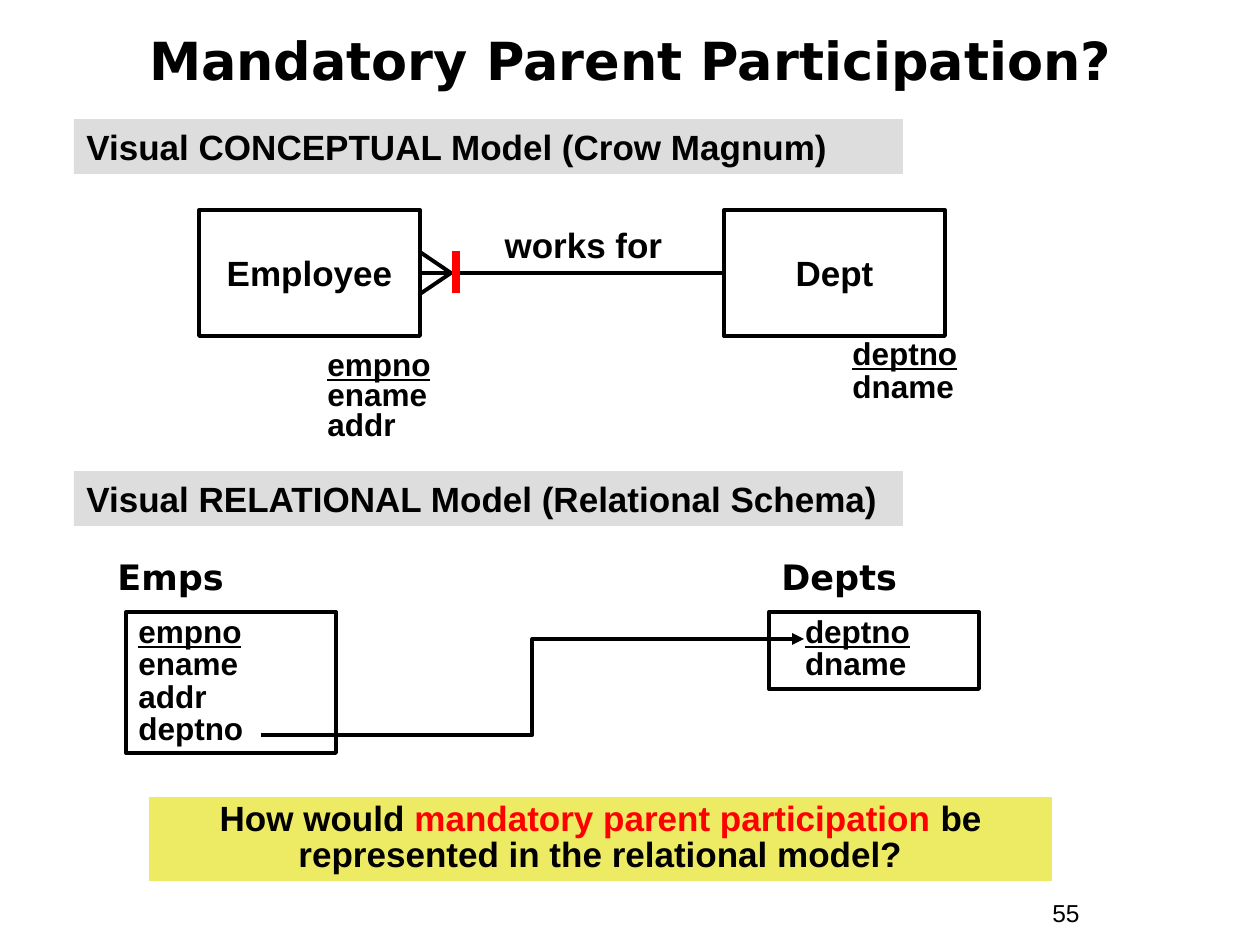
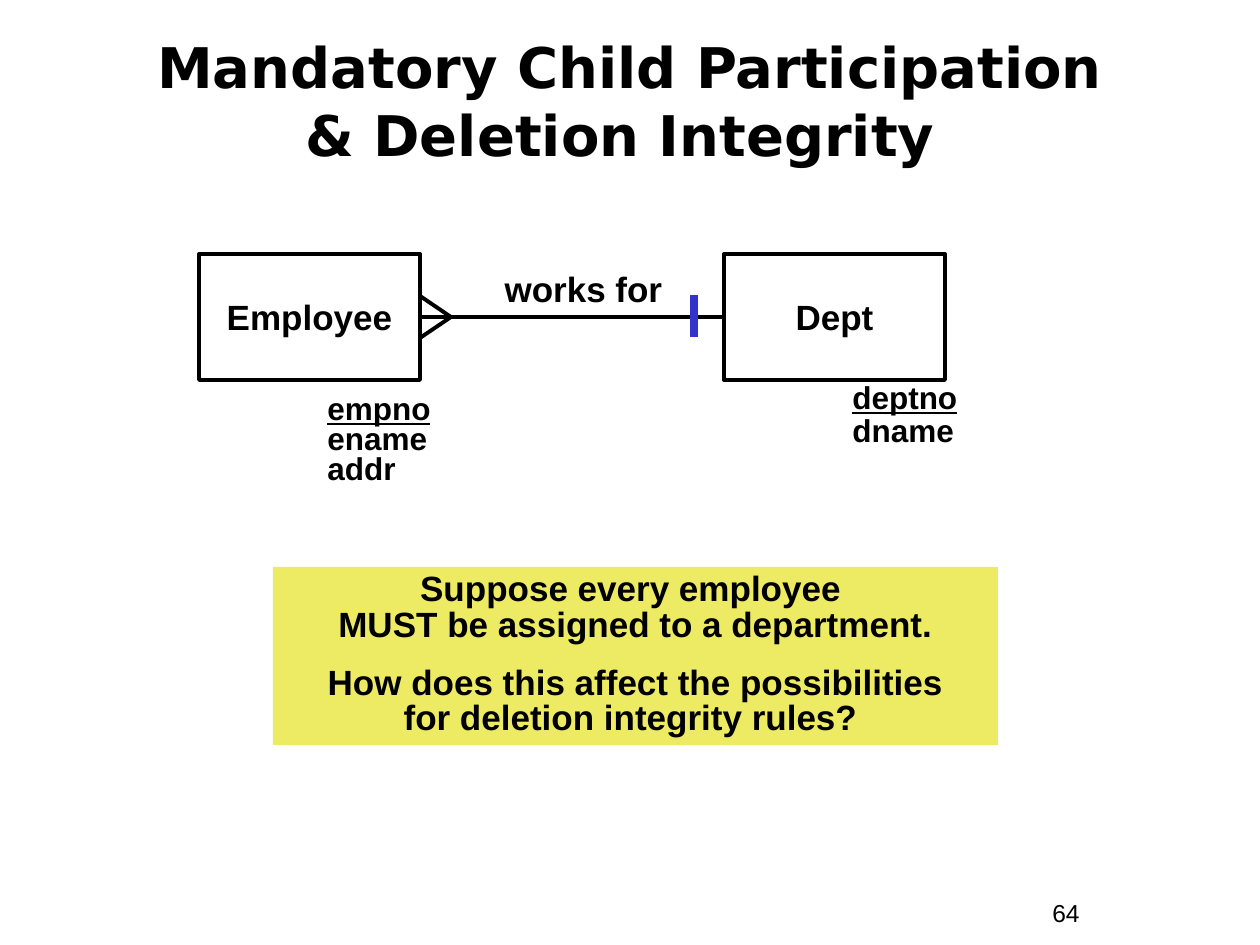
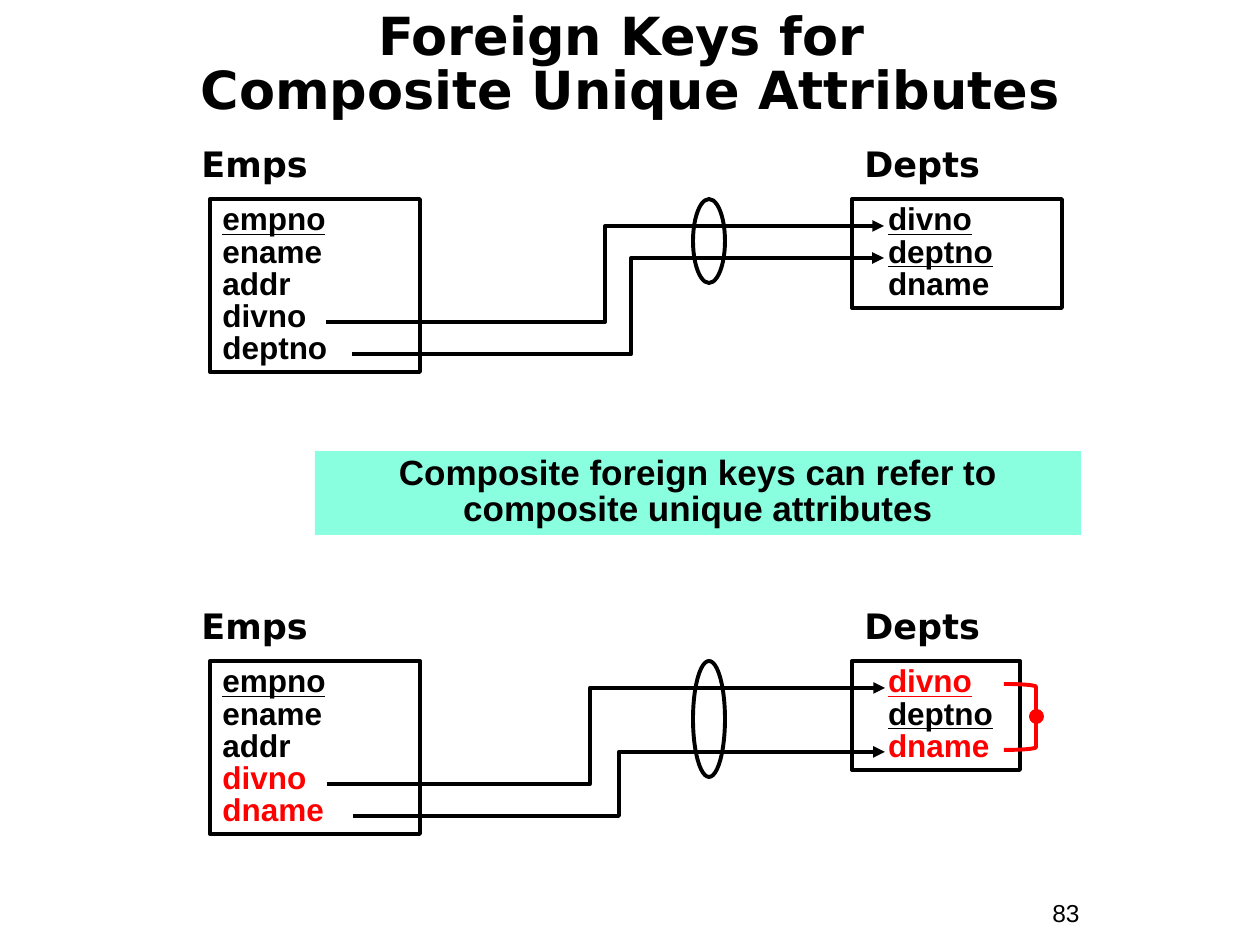
from copy import deepcopy
from dataclasses import dataclass

from pptx import Presentation
from pptx.dml.color import RGBColor
from pptx.enum.shapes import MSO_CONNECTOR, MSO_SHAPE
from pptx.enum.text import MSO_ANCHOR, MSO_AUTO_SIZE, PP_ALIGN
from pptx.oxml.ns import qn
from pptx.oxml.xmlchemy import OxmlElement
from pptx.util import Pt

EMU_PER_PX = 914400 / 126
SLIDE_W, SLIDE_H = 1260, 945
TITLE_ONLY = 5

BLACK = RGBColor(0x00, 0x00, 0x00)
RED = RGBColor(0xFF, 0x00, 0x00)
BLUE = RGBColor(0x33, 0x33, 0xCC)
GREY = RGBColor(0xDD, 0xDD, 0xDD)
YELLOW = RGBColor(0xED, 0xEA, 0x63)
MINT = RGBColor(0x89, 0xFF, 0xE0)

BODY_FONT, HEAD_FONT = "Arial", "DejaVu Sans"
TEXT_SIZE, ROW_SIZE, NUMBER_SIZE = 20, 18, 14
LINE_W, TICK_W = 2.25, 4.5
TIGHT = 0.85

RECT, OVAL, BRACKET = MSO_SHAPE.RECTANGLE, MSO_SHAPE.OVAL, MSO_SHAPE.RIGHT_BRACKET
STRAIGHT, ELBOW = MSO_CONNECTOR.STRAIGHT, MSO_CONNECTOR.ELBOW
LEFT, CENTER = PP_ALIGN.LEFT, PP_ALIGN.CENTER
TOP, MIDDLE = MSO_ANCHOR.TOP, MSO_ANCHOR.MIDDLE
LEFT_SIDE, RIGHT_SIDE = 1, 3

ENTITY_W, ENTITY_H = 221, 126
EMPLOYEE_X, DEPT_X = 199, 724
FOOT_W, FOOT_H = 31, 21
ROW_H, ROW_MIDDLE = 32, 27
LABEL_RISE = 63
ROW_INDENT = 36


@dataclass(frozen=True)
class Box:
    x: int
    y: int
    w: int
    h: int


@dataclass(frozen=True)
class Line:
    """One paragraph; emphasis is the part of its text shown in red."""
    text: str
    underline: bool = False
    color: RGBColor = BLACK
    spacing: float = TIGHT
    before: float = 0
    emphasis: str = ""


@dataclass(frozen=True)
class Table:
    name: str
    x: int
    y: int
    w: int
    rows: tuple[Line, ...]
    label_shift: int = 0
    indented: bool = False

    def row_y(self, row: int) -> int:
        return self.y + ROW_MIDDLE + row * ROW_H


@dataclass(frozen=True)
class ForeignKey:
    """Arrow between two table rows; bend is the share of its width before the turn."""
    from_row: int
    to_row: int
    start_x: int
    end_x: int
    bend: float = 0.5


def px(n: float) -> int:
    return round(n * EMU_PER_PX)


def place(box: Box) -> tuple[int, int, int, int]:
    return px(box.x), px(box.y), px(box.w), px(box.h)


def write(shape, lines, size: float, font: str = BODY_FONT, align=LEFT,
          anchor=TOP, bold: bool = True):
    tf = shape.text_frame
    tf.word_wrap = True
    tf.auto_size = MSO_AUTO_SIZE.NONE
    tf.vertical_anchor = anchor
    for i, line in enumerate(lines):
        p = tf.add_paragraph() if i else tf.paragraphs[0]
        if line.emphasis:
            for part in line.text.partition(line.emphasis):
                p.add_run().text = part
        else:
            p.text = line.text
        p.alignment = align
        p.line_spacing = line.spacing
        p.space_before = Pt(line.before)
        for r in p.runs:
            r.font.name, r.font.size, r.font.bold = font, Pt(size), bold
            r.font.underline = line.underline
            r.font.color.rgb = RED if r.text == line.emphasis else line.color
        for br in p._p.findall(qn("a:br")):
            br.append(deepcopy(p.runs[0]._r.rPr))
    return shape


def add_text(s, box: Box, lines, size: float, **style):
    return write(s.shapes.add_textbox(*place(box)), lines, size, **style)


def add_shape(s, kind, box: Box, fill: RGBColor | None = None,
              line: RGBColor | None = BLACK):
    sp = s.shapes.add_shape(kind, *place(box))
    sp.shadow.inherit = False
    if fill is None:
        sp.fill.background()
    else:
        sp.fill.solid()
        sp.fill.fore_color.rgb = fill
    if line is None:
        sp.line.fill.background()
    else:
        sp.line.color.rgb = line
        sp.line.width = Pt(LINE_W)
    return sp


def add_line(s, x1: int, y1: int, x2: int, y2: int, color: RGBColor = BLACK,
             width: float = LINE_W, kind=STRAIGHT):
    c = s.shapes.add_connector(kind, px(x1), px(y1), px(x2), px(y2))
    c.line.color.rgb = color
    c.line.width = Pt(width)
    c._element.spPr.append(OxmlElement("a:effectLst"))
    return c


def add_slide(prs, title: str, title_box: Box, size: int, number: int,
              spacing: float = 1.0):
    s = prs.slides.add_slide(prs.slide_layouts[TITLE_ONLY])
    head = s.shapes.title
    head.left, head.top, head.width, head.height = place(title_box)
    write(head, [Line(title, spacing=spacing)], size, font=HEAD_FONT,
          align=CENTER, anchor=MIDDLE)
    add_text(s, Box(1040, 892, 116, 43), [Line(str(number), spacing=1.0)],
             NUMBER_SIZE, bold=False)
    return s


def add_band(s, y: int, text: str):
    band = add_shape(s, RECT, Box(74, y, 829, 55), GREY, None)
    write(band, [Line(text, spacing=1.0)], TEXT_SIZE)


def add_note(s, box: Box, lines, fill: RGBColor):
    write(add_shape(s, RECT, box, fill, None), lines, TEXT_SIZE, align=CENTER)


def add_entity(s, name: str, x: int, y: int):
    sp = add_shape(s, RECT, Box(x, y, ENTITY_W, ENTITY_H))
    return write(sp, [Line(name, spacing=1.0)], TEXT_SIZE, align=CENTER, anchor=MIDDLE)


def add_conceptual_model(s, y: int, tick_x: int, tick_color: RGBColor):
    """Employee and Dept joined by a crow's foot line with a participation tick."""
    middle = y + ENTITY_H // 2
    foot_x = EMPLOYEE_X + ENTITY_W
    dept = add_entity(s, "Dept", DEPT_X, y)
    employee = add_entity(s, "Employee", EMPLOYEE_X, y)
    link = add_line(s, DEPT_X, middle, foot_x, middle)
    link.begin_connect(dept, LEFT_SIDE)
    link.end_connect(employee, RIGHT_SIDE)
    for rise in (-FOOT_H, FOOT_H):
        add_line(s, foot_x + FOOT_W, middle, foot_x, middle + rise)
    add_text(s, Box(484, y + 7, 199, 55), [Line("works for", spacing=1.0)],
             TEXT_SIZE, align=CENTER)
    add_text(s, Box(840, y + 125, 147, 77),
             [Line("deptno", True, spacing=0.8), Line("dname", spacing=0.9)], ROW_SIZE)
    add_text(s, Box(315, y + 136, 147, 103),
             [Line("empno", True, spacing=0.8), Line("ename", spacing=0.8),
              Line("addr", spacing=0.8)], ROW_SIZE)
    add_line(s, tick_x, middle - 22, tick_x, middle + 20, tick_color, TICK_W)


def add_table_box(s, t: Table):
    add_text(s, Box(t.x + t.label_shift, t.y - LABEL_RISE, 271, 55),
             [Line(t.name, spacing=1.0)], TEXT_SIZE, font=HEAD_FONT)
    sp = add_shape(s, RECT, Box(t.x, t.y, t.w, 13 + ROW_H * len(t.rows)))
    write(sp, t.rows, ROW_SIZE)
    if t.indented:
        sp.text_frame.margin_left = px(ROW_INDENT)


def add_foreign_key(s, child: Table, parent: Table, key: ForeignKey):
    c = add_line(s, key.start_x, child.row_y(key.from_row),
                 key.end_x, parent.row_y(key.to_row), kind=ELBOW)
    bend = OxmlElement("a:gd")
    bend.set("name", "adj1")
    bend.set("fmla", f"val {round(key.bend * 100000)}")
    c._element.spPr.find(qn("a:prstGeom")).get_or_add_avLst().append(bend)
    head = OxmlElement("a:tailEnd")
    head.set("type", "triangle")
    c._element.spPr.find(qn("a:ln")).append(head)


def add_schema(s, child: Table, parent: Table, keys):
    add_table_box(s, child)
    add_table_box(s, parent)
    for key in keys:
        add_foreign_key(s, child, parent, key)


def emps(x: int, y: int, *key_rows: Line) -> Table:
    rows = (Line("empno", True), Line("ename"), Line("addr"), *key_rows)
    return Table("Emps", x, y, 210, rows, label_shift=-21)


def depts(x: int, y: int, w: int, *rows: Line) -> Table:
    return Table("Depts", x, y, w, rows, indented=True)


def parent_participation(prs):
    s = add_slide(prs, "Mandatory Parent Participation?", Box(32, 23, 1197, 73), 30, 55)
    add_band(s, 119, "Visual CONCEPTUAL Model (Crow Magnum)")
    add_conceptual_model(s, 210, 456, RED)
    add_band(s, 471, "Visual RELATIONAL Model (Relational Schema)")
    add_schema(s, emps(126, 612, Line("deptno")),
               depts(769, 612, 210, Line("deptno", True), Line("dname")),
               [ForeignKey(3, 0, 261, 804)])
    add_note(s, Box(149, 797, 903, 84),
             [Line("How would mandatory parent participation be represented "
                   "in the relational model?",
                   emphasis="mandatory parent participation")], YELLOW)


def child_participation(prs):
    s = add_slide(prs, "Mandatory Child Participation\v& Deletion Integrity ",
                  Box(42, 42, 1176, 116), 32, 64)
    add_conceptual_model(s, 254, 694, BLUE)
    add_note(s, Box(273, 567, 725, 178),
             [Line("Suppose every employee \vMUST be assigned to a department."),
              Line("How does this affect the possibilities\vfor deletion integrity rules? ",
                   before=12.5)], YELLOW)


def composite_keys(prs):
    s = add_slide(prs, "Foreign Keys for \vComposite Unique Attributes",
                  Box(32, 30, 1197, 73), 30, 83, TIGHT)
    add_schema(s, emps(210, 199, Line("divno"), Line("deptno")),
               depts(852, 199, 210, Line("divno", True), Line("deptno", True),
                     Line("dname")),
               [ForeignKey(3, 0, 326, 884), ForeignKey(4, 1, 352, 884, 0.525)])
    add_shape(s, OVAL, Box(693, 199, 32, 84))
    add_note(s, Box(315, 451, 766, 84),
             [Line("Composite foreign keys can refer to composite unique attributes")],
             MINT)
    add_schema(s, emps(210, 661, Line("divno", color=RED), Line("dname", color=RED)),
               depts(852, 661, 168, Line("divno", True, RED), Line("deptno", True),
                     Line("dname", color=RED)),
               [ForeignKey(3, 0, 327, 885, 0.471), ForeignKey(4, 2, 353, 885)])
    add_shape(s, OVAL, Box(693, 661, 32, 116))
    add_shape(s, BRACKET, Box(1004, 684, 32, 66), line=RED)
    add_shape(s, OVAL, Box(1031, 711, 11, 11), RED, RED)


def main():
    prs = Presentation()
    prs.slide_width, prs.slide_height = px(SLIDE_W), px(SLIDE_H)
    parent_participation(prs)
    child_participation(prs)
    composite_keys(prs)
    prs.save("out.pptx")


if __name__ == "__main__":
    main()
